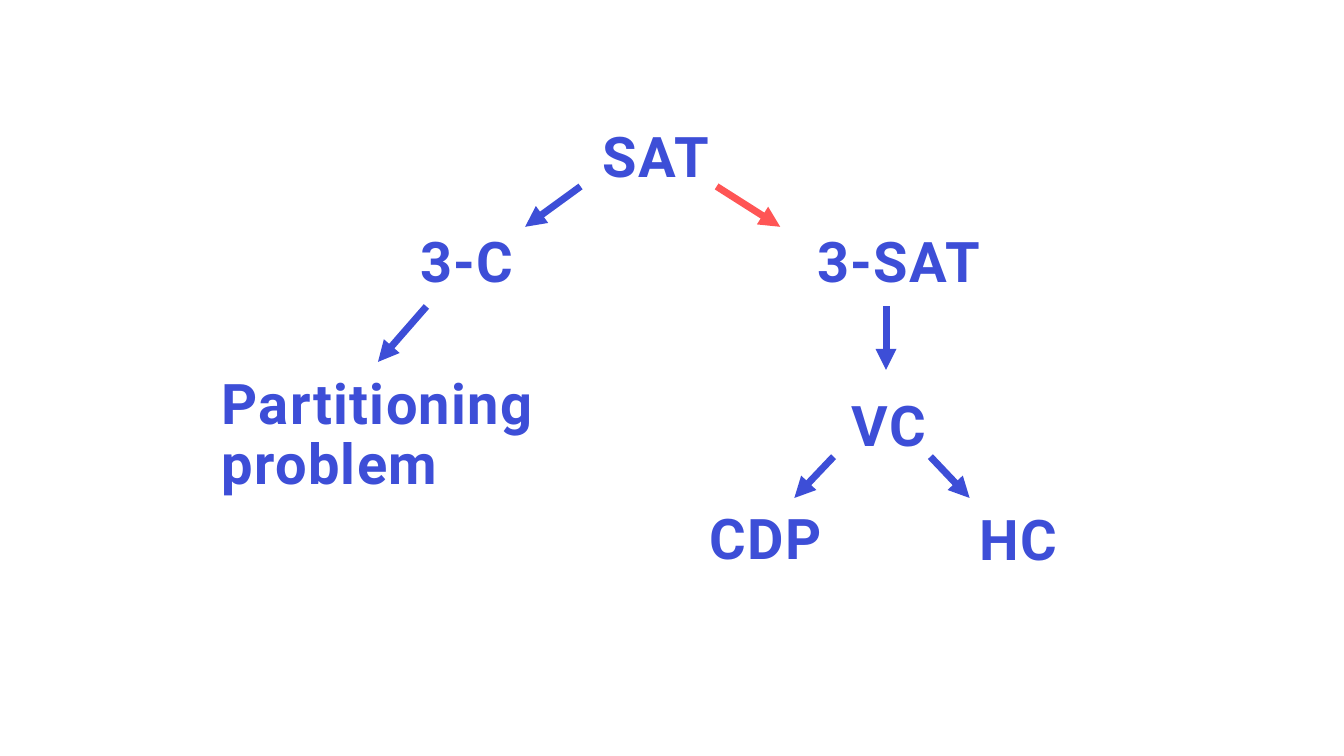
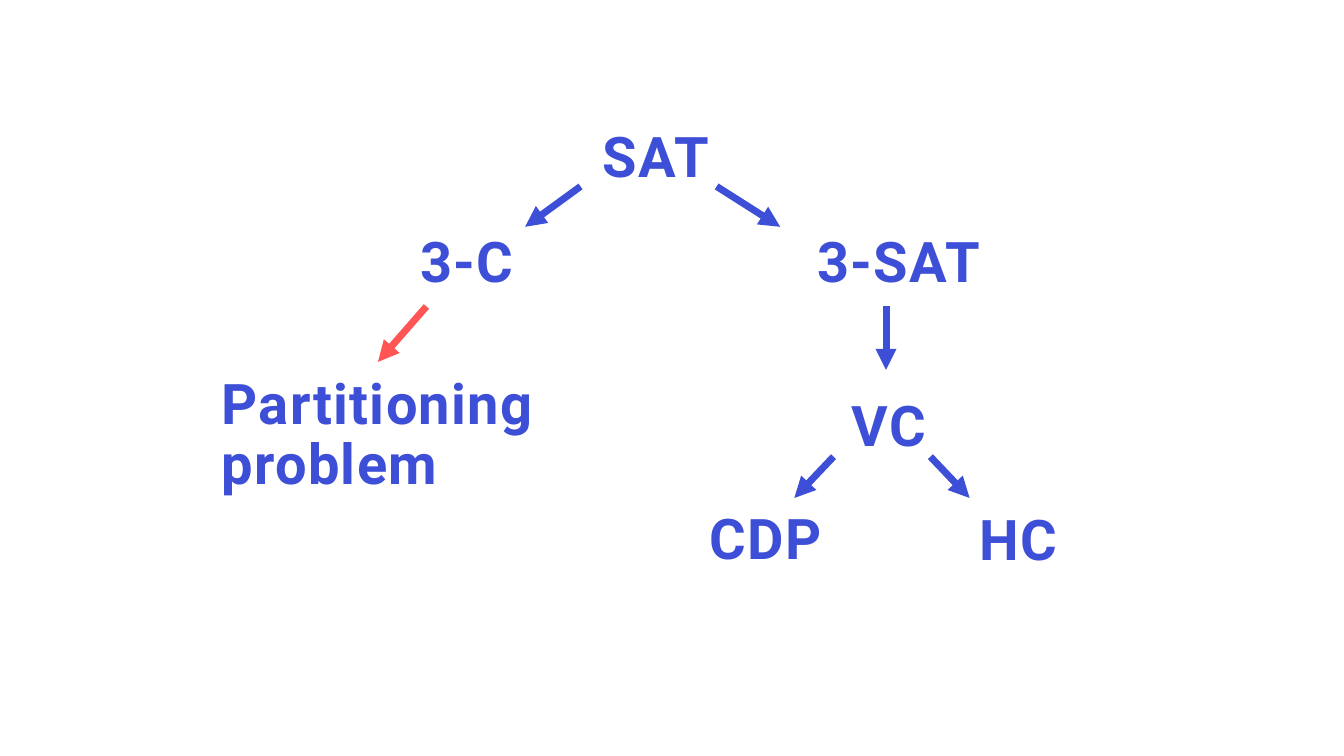
from lxml import etree
from pptx import Presentation
from pptx.dml.color import RGBColor
from pptx.enum import shapes, text
from pptx.oxml import ns
from pptx.util import Pt

BLUE, RED = "3D4ED7", "FF5555"
FONT = {"name": "Roboto", "size": Pt(40), "bold": True}

# Problem: left, top, width, height in points
PROBLEMS = {
    "SAT": (423.4, 88.6, 135.4, 61.2),
    "3-SAT": (576.7, 163.4, 135.4, 61.2),
    "Partitioning problem": (151.2, 265, 244.1, 90.7),
    "3-C": (293, 163.4, 90.7, 61.2),
    "VC": (601.2, 280.8, 85, 61.2),
    "CDP": (499.7, 361.4, 114.5, 61.2),
    "HC": (692.6, 362.2, 114.5, 61.2),
}

# (from problem, to problem): start x, start y, end x, end y in points
REDUCTIONS = {
    ("SAT", "3-C"): (414.7, 133.2, 375.1, 162),
    ("SAT", "3-SAT"): (511.9, 133.2, 557.3, 162),
    ("3-C", "Partitioning problem"): (304.6, 218.9, 270, 258.5),
    ("3-SAT", "VC"): (632.9, 218.9, 632.9, 264.2),
    ("VC", "CDP"): (595.4, 326.2, 567.4, 355.7),
    ("VC", "HC"): (664.6, 326.2, 692.6, 355.7),
}

# The reduction in focus on each slide
FOCUS = [("SAT", "3-SAT"), ("3-C", "Partitioning problem")]


def paint(color_format, color):
    color_format.rgb = RGBColor.from_string(color)


def add_arrow(s, ends, color):
    arrow = s.shapes.add_connector(shapes.MSO_CONNECTOR.STRAIGHT, *map(Pt, ends))
    arrow.line.width = Pt(5)
    paint(arrow.line.color, color)
    etree.SubElement(arrow.line._get_or_add_ln(), ns.qn("a:tailEnd"), type="triangle")
    etree.SubElement(arrow._element.spPr, ns.qn("a:effectLst"))


prs = Presentation()
prs.slide_width, prs.slide_height = Pt(960), Pt(540)

for focus in FOCUS:
    s = prs.slides.add_slide(prs.slide_layouts[6])

    for problem, box in PROBLEMS.items():
        tf = s.shapes.add_textbox(*map(Pt, box)).text_frame
        tf.word_wrap = True
        tf.vertical_anchor = text.MSO_ANCHOR.TOP
        p = tf.paragraphs[0]
        p.line_spacing = 0.9
        r = p.add_run()
        r.text = problem
        for name, value in FONT.items():
            setattr(r.font, name, value)
        paint(r.font.color, BLUE)
        r._r.get_or_add_rPr().set("spc", "100")

    for reduction, ends in REDUCTIONS.items():
        add_arrow(s, ends, RED if reduction == focus else BLUE)

prs.save("out.pptx")
